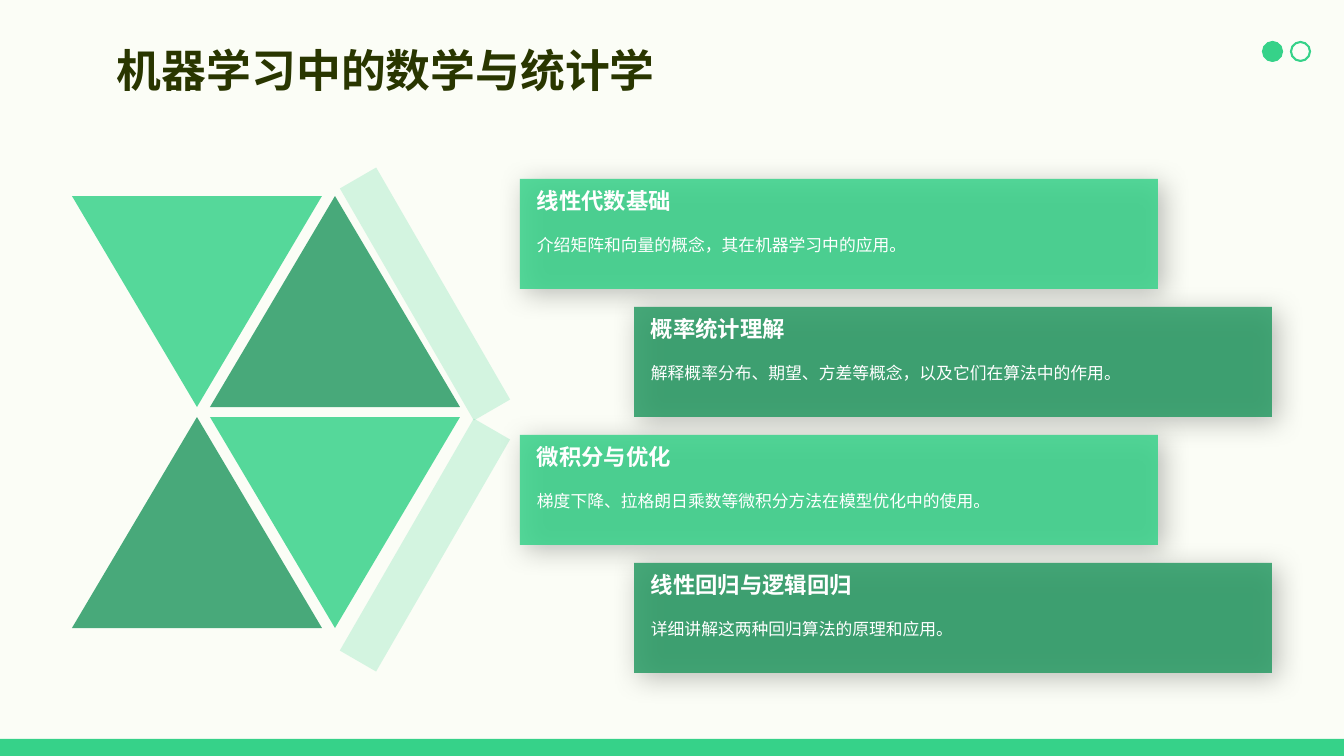
from lxml import etree
from pptx import Presentation
from pptx import util as u
from pptx.dml.color import RGBColor
from pptx.enum import shapes, text
from pptx.oxml.ns import qn

PX = 914400 / 100.8
FONT = "Noto Sans CJK SC"
LIGHT, DARK = "36D289", "269A63"
KIND = shapes.MSO_SHAPE


def px(*sizes):
    return [u.Emu(round(n * PX)) for n in sizes]


def paint(shape, color, alpha=100):
    """Give a shape a plain fill, with no line and no shadow."""
    shape.shadow.inherit = False
    shape.line.fill.background()
    shape.fill.solid()
    shape.fill.fore_color.rgb = RGBColor.from_string(color)
    if alpha < 100:
        tone = shape._element.spPr.find(qn("a:solidFill"))[0]
        etree.SubElement(tone, qn("a:alpha"), val=str(alpha * 1000))


deck = Presentation()
deck.slide_width, deck.slide_height = px(1344, 756)
slide = deck.slides.add_slide(deck.slide_layouts[6])
slide.background.fill.solid()
slide.background.fill.fore_color.rgb = RGBColor.from_string("FBFDF6")
items = slide.shapes

# Triangles: each row has one pointing down and one pointing up
WIDE, HIGH = 250, 211
for top, down, up in ((196, 72, 210), (417, 210, 72)):
    pen = items.build_freeform(down, top, scale=PX)
    pen.add_line_segments([(down + WIDE, top), (down + WIDE / 2, top + HIGH)])
    paint(pen.convert_to_shape(), LIGHT, 84)
    peak = items.add_shape(KIND.ISOSCELES_TRIANGLE, *px(up, top, WIDE, HIGH))
    paint(peak, DARK, 84)

for top, turn in ((273, 60), (524, 300)):
    bar = items.add_shape(KIND.RECTANGLE, *px(291, top, 268, 42))
    bar.rotation = turn
    paint(bar, LIGHT, 20)

# Cards step down the slide, every second one set to the right
topics = [
    ("线性代数基础", "介绍矩阵和向量的概念，其在机器学习中的应用。"),
    ("概率统计理解", "解释概率分布、期望、方差等概念，以及它们在算法中的作用。"),
    ("微积分与优化", "梯度下降、拉格朗日乘数等微积分方法在模型优化中的使用。"),
    ("线性回归与逻辑回归", "详细讲解这两种回归算法的原理和应用。"),
]
MID, TOP = text.MSO_ANCHOR.MIDDLE, text.MSO_ANCHOR.TOP
labels = [("机器学习中的数学与统计学", (107, 24, 1025, 80), (10, 5), MID, 1.2,
           {"size": u.Pt(32), "bold": True}, "293600")]
for i, (head, body) in enumerate(topics):
    left, top = 520 + i % 2 * 114, 179 + i * 128
    card = items.add_shape(KIND.RECTANGLE, *px(left, top, 638, 110))
    paint(card, (LIGHT, DARK)[i % 2], 84)
    glow = etree.SubElement(
        card._element.spPr.find(qn("a:effectLst")), qn("a:outerShdw"),
        blurRad=str(u.Pt(20)), dist=str(u.Pt(5)), dir=str(45 * 60000),
        algn="tl", rotWithShape="0")
    tone = etree.SubElement(glow, qn("a:srgbClr"), val="000000")
    etree.SubElement(tone, qn("a:alpha"), val="30000")
    labels += [
        (head, (left + 17, top + 2, 481, 40), (0, 0), MID, 1,
         {"size": u.Pt(16), "bold": True}, "FFFFFF"),
        (body, (left + 17, top + 50, 596, 60), (0, 0), TOP, 1.3,
         {"size": u.Pt(12)}, "FFFFFF"),
    ]

for words, place, (side, edge), anchor, gap, style, color in labels:
    box = items.add_textbox(*px(*place))
    frame = box.text_frame
    form = {"word_wrap": True, "vertical_anchor": anchor}
    form |= dict.fromkeys(("margin_left", "margin_right"), px(side)[0])
    form |= dict.fromkeys(("margin_top", "margin_bottom"), px(edge)[0])
    for key, value in form.items():
        setattr(frame, key, value)
    para = frame.paragraphs[0]
    para.line_spacing = gap
    run = para.add_run()
    run.text = words
    for key, value in (style | {"name": FONT}).items():
        setattr(run.font, key, value)
    run.font.color.rgb = RGBColor.from_string(color)
    etree.SubElement(run._r.get_or_add_rPr(), qn("a:ea"), typeface=FONT)

for left, full in ((1263, True), (1291, False)):
    dot = items.add_shape(KIND.OVAL, *px(left, 42, 19, 19))
    paint(dot, LIGHT)
    if not full:
        dot.fill.background()
    dot.line.color.rgb = RGBColor.from_string(LIGHT)
    dot.line.width = u.Pt(1.5)

paint(items.add_shape(KIND.RECTANGLE, *px(0, 739, 1344, 17)), LIGHT)

deck.save("out.pptx")
